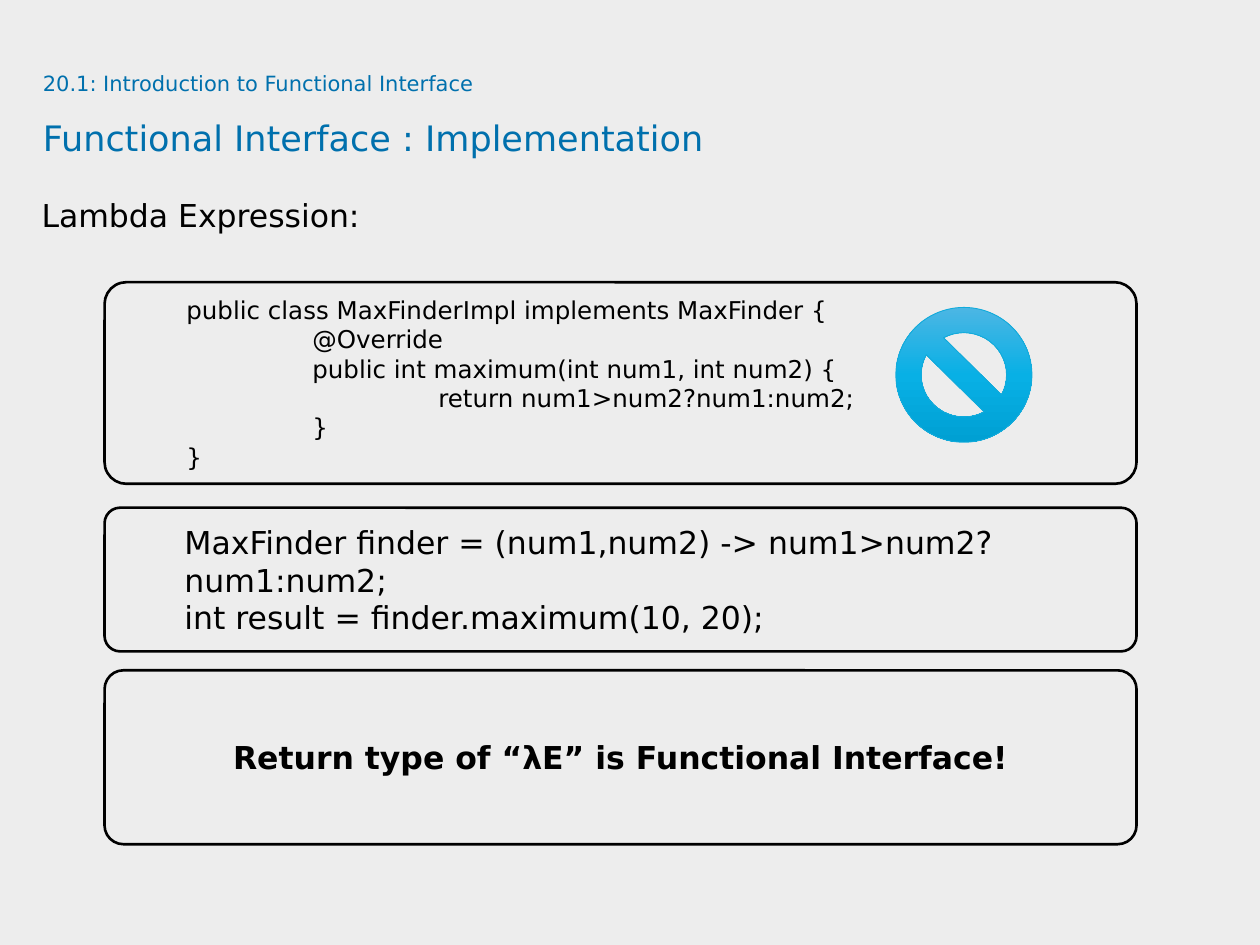
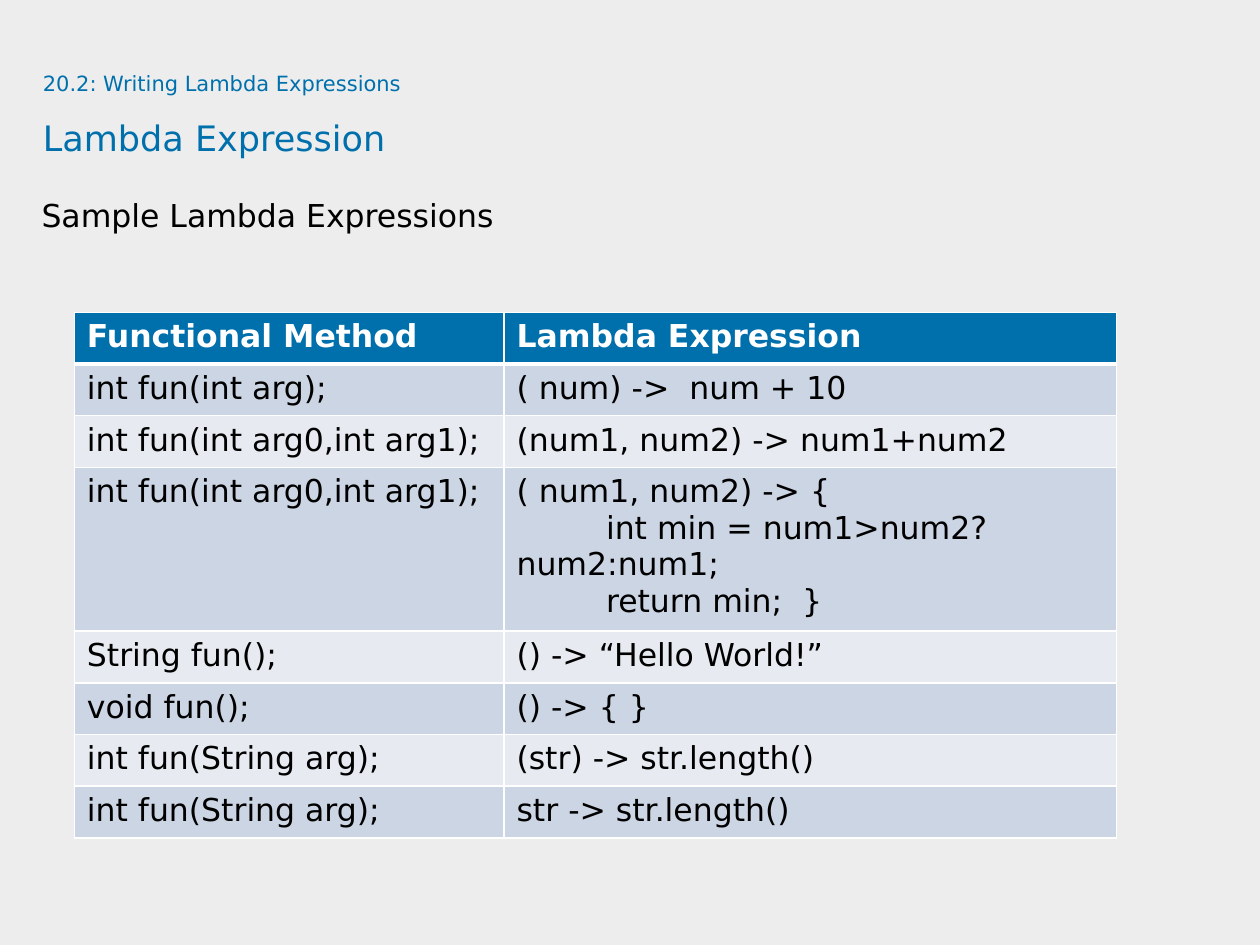
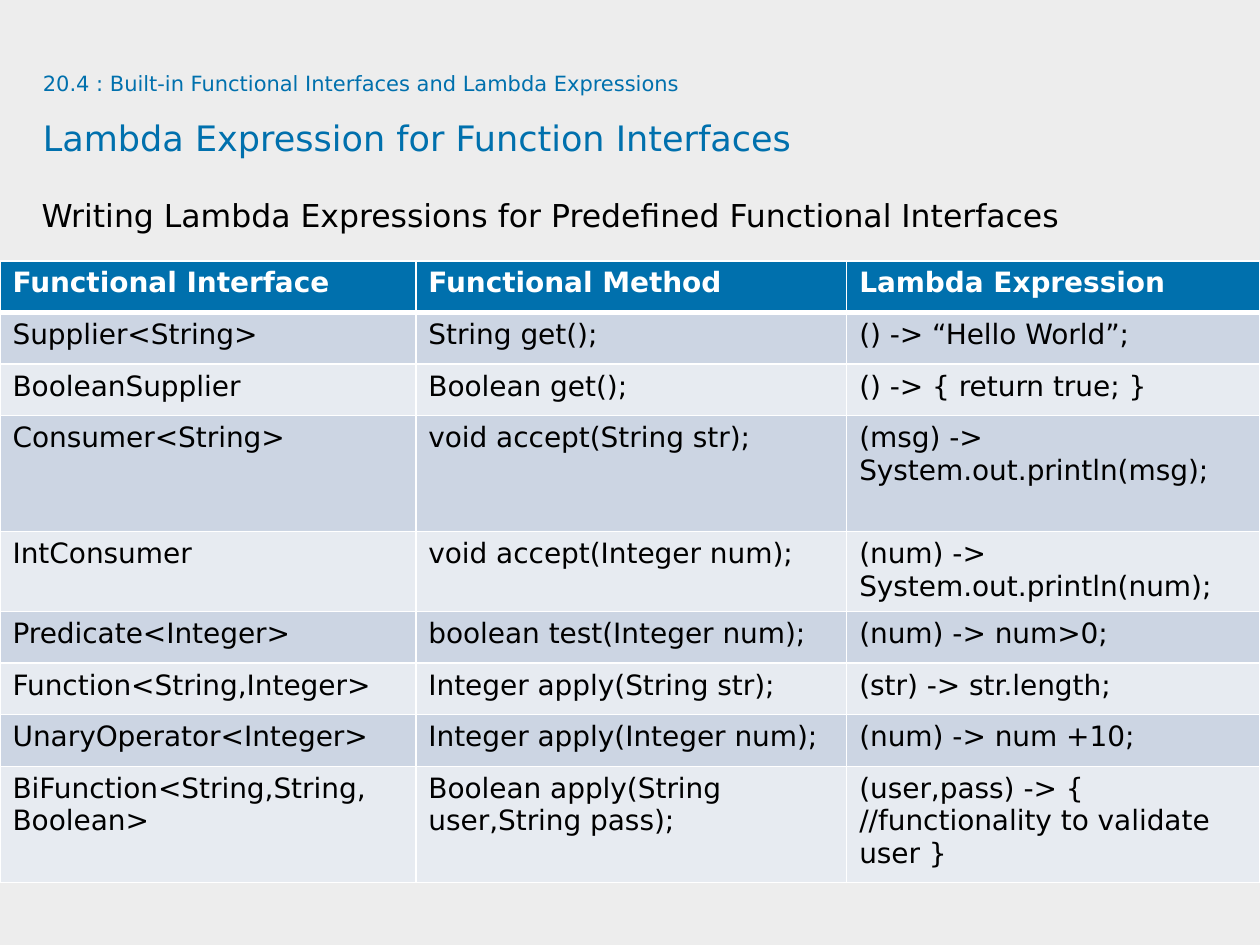
from copy import deepcopy

from lxml.etree import SubElement
from pptx import Presentation
from pptx.dml.color import RGBColor
from pptx.enum.shapes import MSO_SHAPE as Shape
from pptx.enum.text import MSO_ANCHOR as Anchor, PP_ALIGN as Align
from pptx.oxml.ns import qn
from pptx.util import Inches, Pt

FONT = "DejaVu Sans"
COLORS = {
    "page": "EDEDED", "accent": "0070AD", "text": "000000", "white": "FFFFFF",
    "band_dark": "CCD5E3", "band_light": "E7EBF1", "sign_line": "12ABDB",
}
SIGN_GRADIENT = ["4CB6E4", "08B0E5", "00A0D3"]

# Content: text lines are (indent level, text)
HEADINGS = [
    ("20.1: Introduction to Functional Interface",
     "Functional Interface : Implementation", "Lambda Expression:"),
    ("20.2: Writing Lambda Expressions",
     "Lambda Expression", "Sample Lambda Expressions"),
    ("20.4 : Built-in Functional Interfaces and Lambda Expressions",
     "Lambda Expression for Function Interfaces",
     "Writing Lambda Expressions for Predefined Functional Interfaces"),
]
CLASS_CODE = [
    (0, "public class MaxFinderImpl implements MaxFinder {"),
    (1, "@Override"),
    (1, "public int maximum(int num1, int num2) {"),
    (2, "return num1>num2?num1:num2;"),
    (1, "}"),
    (0, "}"),
]
LAMBDA_CODE = [
    (0, "MaxFinder finder = (num1,num2) -> num1>num2?num1:num2;"),
    (0, "int result = finder.maximum(10, 20);"),
]
CONCLUSION = "Return type of “λE” is Functional Interface!"
MIN_LAMBDA = [
    (0, "( num1, num2) -> {"),
    (1, "int min = num1>num2?num2:num1;"),
    (1, "return min;  }"),
]
SAMPLES = [
    ("Functional Method", "Lambda Expression"),
    ("int fun(int arg);", "( num) ->  num + 10"),
    ("int fun(int arg0,int arg1);", "(num1, num2) -> num1+num2"),
    ("int fun(int arg0,int arg1);", MIN_LAMBDA),
    ("String fun();", "() -> “Hello World!”"),
    ("void fun();", "() -> { }"),
    ("int fun(String arg);", "(str) -> str.length()"),
    ("int fun(String arg);", "str -> str.length()"),
]
BUILT_INS = [
    ("Functional Interface", "Functional Method", "Lambda Expression"),
    ("Supplier<String>", "String get();", "() -> “Hello World”;"),
    ("BooleanSupplier", "Boolean get();", "() -> { return true; }"),
    ("Consumer<String>", "void accept(String str);",
     "(msg) -> System.out.println(msg);"),
    ("IntConsumer", "void accept(Integer num);",
     "(num) -> System.out.println(num);"),
    ("Predicate<Integer>", "boolean test(Integer num);", "(num) -> num>0;"),
    ("Function<String,Integer>", "Integer apply(String str);",
     "(str) -> str.length;"),
    ("UnaryOperator<Integer>", "Integer apply(Integer num);",
     "(num) -> num +10;"),
    ("BiFunction<String,String, Boolean>",
     "Boolean apply(String user,String pass);",
     "(user,pass) -> { //functionality to validate user }"),
]

# Layout in inches
BOX_LEFT, BOX_WIDTH = 0.83, 8.19
ROW, TALL_ROW = 0.41, 0.92
CODE_INDENT, CELL_INDENT = 0.5, 0.71


def rgb(name):
    return RGBColor.from_string(COLORS.get(name, name))


def style(font, size, color="text", bold=False):
    font.name, font.size, font.bold = FONT, Pt(size), bold
    font.color.rgb = rgb(color)


def paragraphs(frame, count):
    return [frame.paragraphs[0]] + [frame.add_paragraph() for _ in range(count - 1)]


def add_text(page, left, top, width, height):
    frame = page.shapes.add_textbox(*map(Inches, (left, top, width, height))).text_frame
    frame.word_wrap = True
    frame.margin_left = frame.margin_right = frame.margin_top = frame.margin_bottom = 0
    return frame.paragraphs[0]


def add_page(deck, section, title, lead):
    page = deck.slides.add_slide(deck.slide_layouts[6])
    para = add_text(page, 0.34, 0.46, 9.09, 0.94)
    para.line_spacing = 1.5
    style(para.font, 12, "accent")
    para.add_run().text = section
    para.add_line_break()
    span = para.add_run()
    span.text = title
    span.font.size = Pt(20)

    para = add_text(page, 0.33, 1.63, 9.67, 5.08)
    para.text = lead
    para.line_spacing, para.space_after = Pt(16.5), Pt(4.5)
    style(para.font, 18)
    return page


def add_box(page, top, height):
    box = page.shapes.add_shape(
        Shape.ROUNDED_RECTANGLE, *map(Inches, (BOX_LEFT, top, BOX_WIDTH, height)))
    box.adjustments[0] = 0.108
    box.shadow.inherit = False
    box.fill.background()
    box.line.color.rgb, box.line.width = rgb("text"), Pt(1.5)
    box.text_frame.word_wrap = True
    box.text_frame.vertical_anchor = Anchor.MIDDLE
    return box.text_frame


def add_code_box(page, top, height, lines, size):
    frame = add_box(page, top, height)
    for para, (level, text) in zip(paragraphs(frame, len(lines)), lines):
        para.text, para.alignment = text, Align.LEFT
        style(para.font, size)
        props = para._p.get_or_add_pPr()
        props.set("marL", str(Inches(CODE_INDENT + level)))
        props.set("indent", "0")


def add_no_sign(page, left, top, width, height):
    sign = page.shapes.add_shape(
        Shape.NO_SYMBOL, *map(Inches, (left, top, width, height)))
    sign.shadow.inherit = False
    sign.line.color.rgb, sign.line.width = rgb("sign_line"), Pt(0.5)
    sign.fill.gradient()
    sign.fill.gradient_angle = 270
    stop_list = sign._element.spPr.find(".//" + qn("a:gsLst"))
    stop_list.insert(1, deepcopy(stop_list[0]))
    for index, stop in enumerate(sign.fill.gradient_stops):
        stop.color.rgb = rgb(SIGN_GRADIENT[index])
        stop.position = index / 2


def add_borders(cell, top, bottom):
    props = cell._tc.get_or_add_tcPr()
    for side, width in (("L", 1), ("R", 1), ("T", top), ("B", bottom)):
        line = SubElement(props, qn(f"a:ln{side}"), w=str(Pt(width)))
        fill = SubElement(line, qn("a:solidFill"))
        SubElement(fill, qn("a:srgbClr"), val=COLORS["white"])


def fill_cell(cell, content, row, size):
    header = row == 0
    add_borders(cell, top=3 if row == 1 else 1, bottom=3 if header else 1)
    cell.fill.solid()
    band = "band_dark" if row % 2 else "band_light"
    cell.fill.fore_color.rgb = rgb("accent" if header else band)
    lines = [(0, content)] if isinstance(content, str) else content
    for para, (level, text) in zip(paragraphs(cell.text_frame, len(lines)), lines):
        para.text = text
        style(para.font, size, "white" if header else "text", header)
        if level:
            para._p.get_or_add_pPr().set("indent", str(Inches(level * CELL_INDENT)))


def add_grid(page, left, top, columns, rows, size, tall_rows=()):
    heights = [TALL_ROW if row in tall_rows else ROW for row in range(len(rows))]
    area = map(Inches, (left, top, sum(columns), sum(heights)))
    table = page.shapes.add_table(len(rows), len(columns), *area).table
    table.horz_banding = False
    for column, width in zip(table.columns, columns):
        column.width = Inches(width)
    for row, (height, contents) in enumerate(zip(heights, rows)):
        table.rows[row].height = Inches(height)
        for column, content in enumerate(contents):
            fill_cell(table.cell(row, column), content, row, size)


def main():
    deck = Presentation()
    deck.slide_width, deck.slide_height = Inches(10), Inches(7.5)
    backdrop = deck.slide_master.background.fill
    backdrop.solid()
    backdrop.fore_color.rgb = rgb("page")
    implementation, samples, built_ins = [add_page(deck, *texts) for texts in HEADINGS]

    # Implementation: class, lambda, conclusion
    add_code_box(implementation, 2.24, 1.6, CLASS_CODE, 14)
    add_code_box(implementation, 4.03, 1.14, LAMBDA_CODE, 18)
    para = add_box(implementation, 5.32, 1.38).paragraphs[0]
    para.text, para.alignment = CONCLUSION, Align.CENTER
    style(para.font, 18, bold=True)
    add_no_sign(implementation, 7.11, 2.44, 1.08, 1.07)

    # Tables
    add_grid(samples, 0.59, 2.48, (3.41, 4.86), SAMPLES, 18)
    add_grid(built_ins, 0, 2.07, (3.3, 3.42, 3.28), BUILT_INS, 16, tall_rows=(3, 8))

    deck.save("out.pptx")


if __name__ == "__main__":
    main()
